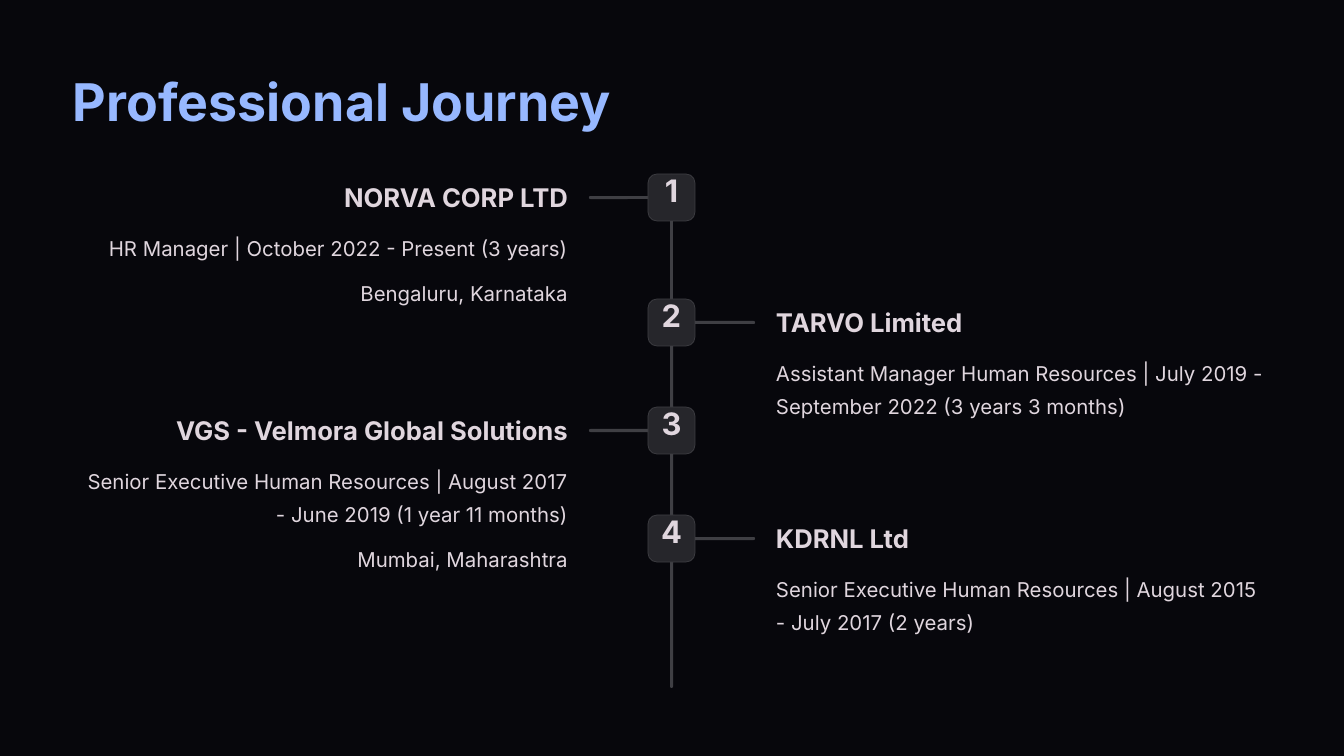
from dataclasses import dataclass

from pptx import Presentation
from pptx.dml.color import RGBColor
from pptx.enum import shapes, text
from pptx.slide import Slide
from pptx.util import Emu, Pt

EMU_PER_INCH = 914400
PX_PER_INCH = 84

BACKGROUND = RGBColor(0x07, 0x07, 0x0C)
TITLE_BLUE = RGBColor(0x97, 0xB8, 0xFF)
TEXT_PALE = RGBColor(0xE0, 0xD6, 0xDE)
LINE_GREY = RGBColor(0x3F, 0x3F, 0x44)
BADGE_GREY = RGBColor(0x26, 0x26, 0x2B)

LEFT, CENTER, RIGHT = text.PP_ALIGN.LEFT, text.PP_ALIGN.CENTER, text.PP_ALIGN.RIGHT
COLUMN_WIDTH = 495
BODY_LINE = 33
DETAIL_GAP = 12


@dataclass(frozen=True)
class TextStyle:
    size: float
    spacing: float
    bold: bool = False
    color: RGBColor = TEXT_PALE


@dataclass(frozen=True)
class Side:
    text_left: int
    branch_left: int
    align: text.PP_ALIGN


@dataclass(frozen=True)
class Detail:
    wording: str
    lines: int = 1


@dataclass(frozen=True)
class Job:
    top: int
    side: Side
    employer: str
    details: tuple[Detail, ...]


TITLE = TextStyle(44.5, 55.5, True, TITLE_BLUE)
NUMBER = TextStyle(26.5, 26.5, True)
EMPLOYER = TextStyle(22, 27.5, True)
BODY = TextStyle(17.5, 28.5)

WEST = Side(73, 589, RIGHT)
EAST = Side(776, 693, LEFT)

JOBS = (
    Job(174, WEST, "NORVA CORP LTD", (
        Detail("HR Manager | October 2022 - Present (3 years)"),
        Detail("Bengaluru, Karnataka"),
    )),
    Job(299, EAST, "TARVO Limited", (
        Detail("Assistant Manager Human Resources | July 2019 - "
               "September 2022 (3 years 3 months)", 2),
    )),
    Job(407, WEST, "VGS - Velmora Global Solutions", (
        Detail("Senior Executive Human Resources | August 2017 "
               "- June 2019 (1 year 11 months)", 2),
        Detail("Mumbai, Maharashtra"),
    )),
    Job(515, EAST, "KDRNL Ltd", (
        Detail("Senior Executive Human Resources | August 2015 "
               "- July 2017 (2 years)", 2),
    )),
)


def px(length: int) -> Emu:
    return Emu(round(length * EMU_PER_INCH / PX_PER_INCH))


def add_text(page: Slide, left: int, top: int, width: int, height: int,
             wording: str, style: TextStyle, align: text.PP_ALIGN) -> None:
    box = page.shapes.add_textbox(px(left), px(top), px(width), px(height))
    frame = box.text_frame
    frame.word_wrap = True
    frame.margin_left = frame.margin_right = frame.margin_top = frame.margin_bottom = 0
    para = frame.paragraphs[0]
    para.alignment = align
    para.line_spacing = Pt(style.spacing)
    span = para.add_run()
    span.text = wording
    span.font.name = "Inter"
    span.font.size = Pt(style.size)
    span.font.bold = style.bold
    span.font.color.rgb = style.color


def add_rounded(page: Slide, left: int, top: int, width: int, height: int,
                fill: RGBColor, radius: float = 0.5, outlined: bool = False) -> None:
    shape = page.shapes.add_shape(shapes.MSO_SHAPE.ROUNDED_RECTANGLE,
                                  px(left), px(top), px(width), px(height))
    shape.adjustments[0] = radius
    shape.shadow.inherit = False
    shape.fill.solid()
    shape.fill.fore_color.rgb = fill
    if outlined:
        shape.line.color.rgb = LINE_GREY
        shape.line.width = Pt(0.6)
    else:
        shape.line.fill.background()


def add_job(page: Slide, number: int, job: Job) -> None:
    side = job.side
    add_rounded(page, side.branch_left, job.top + 22, 62, 3, LINE_GREY)
    add_rounded(page, 648, job.top, 47, 47, BADGE_GREY, 0.19, True)
    add_text(page, 656, job.top + 4, 31, 39, str(number), NUMBER, CENTER)
    add_text(page, side.text_left, job.top + 7, COLUMN_WIDTH, 33,
             job.employer, EMPLOYER, side.align)
    top = job.top + 53
    for detail in job.details:
        height = detail.lines * BODY_LINE
        add_text(page, side.text_left, top, COLUMN_WIDTH, height,
                 detail.wording, BODY, side.align)
        top += height + DETAIL_GAP


def main() -> None:
    deck = Presentation()
    deck.slide_width, deck.slide_height = px(1344), px(756)
    page = deck.slides.add_slide(deck.slide_layouts[6])
    page.background.fill.solid()
    page.background.fill.fore_color.rgb = BACKGROUND
    add_text(page, 73, 67, 540, 66, "Professional Journey", TITLE, LEFT)
    add_rounded(page, 670, 174, 3, 514, LINE_GREY)
    for number, job in enumerate(JOBS, start=1):
        add_job(page, number, job)
    deck.save("out.pptx")


if __name__ == "__main__":
    main()
